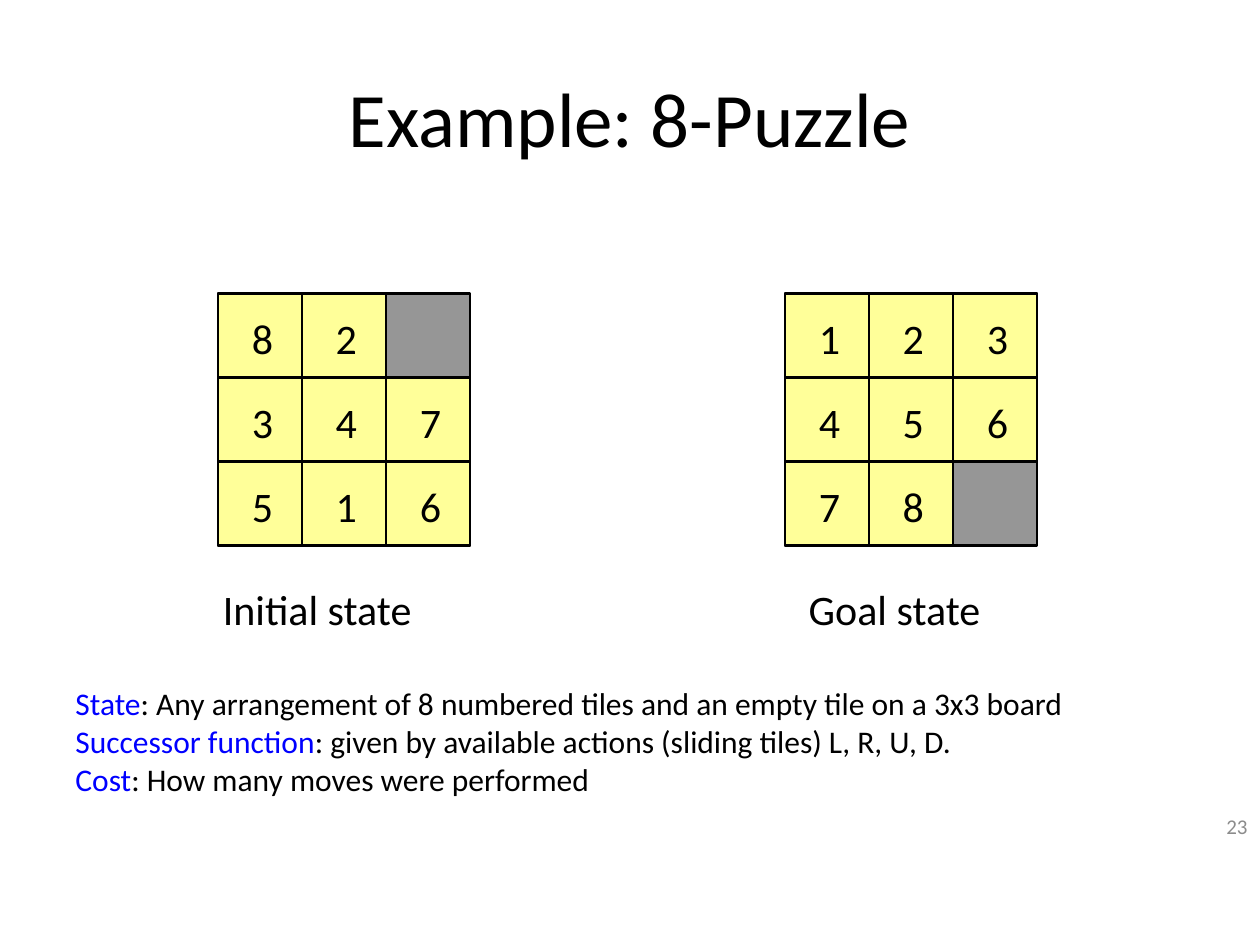
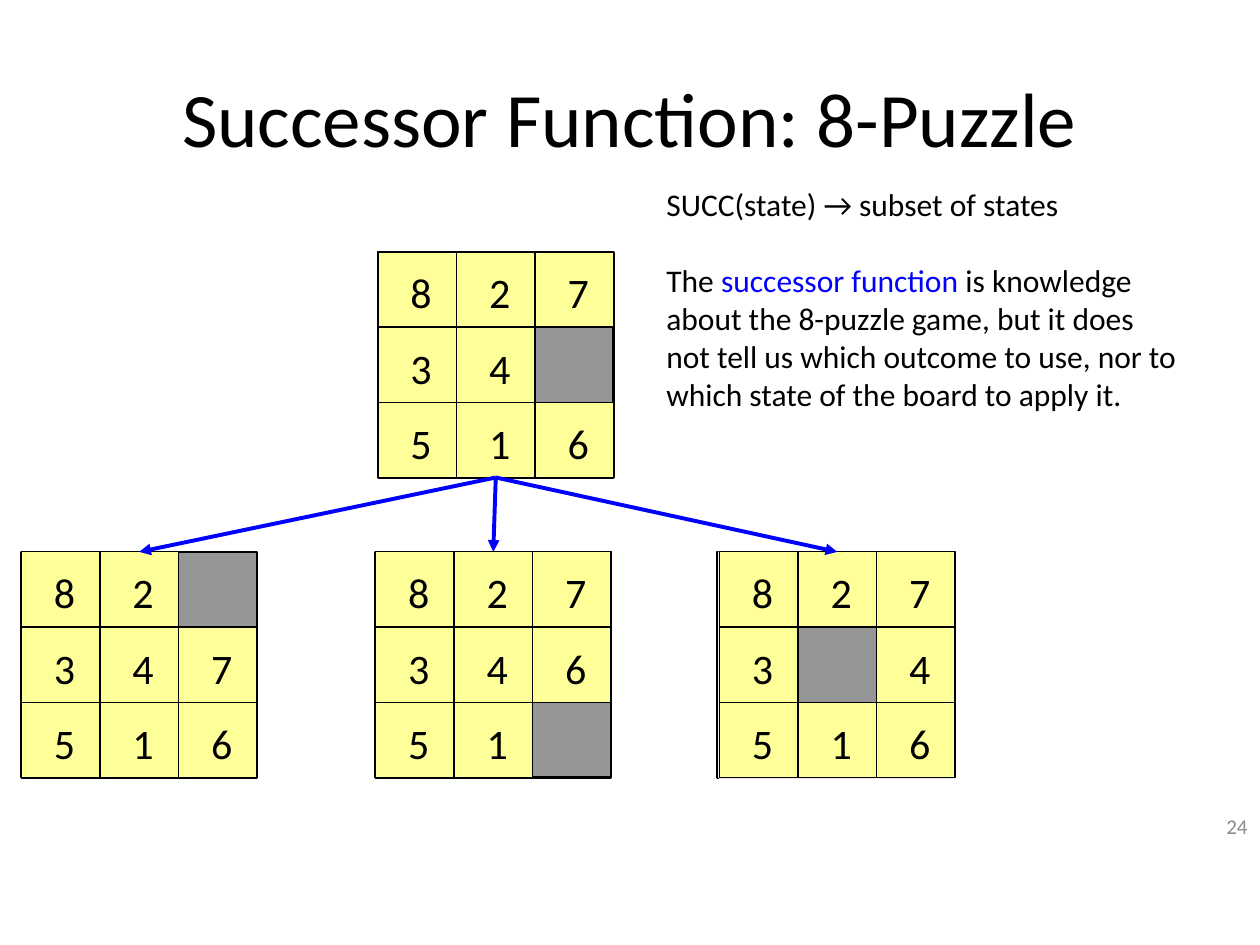
from dataclasses import dataclass
from typing import Optional

from lxml import etree
from pptx import Presentation, util as u
from pptx.dml import color
from pptx.enum import shapes, text
from pptx.oxml import ns


@dataclass(frozen=True)
class Theme:
    font: str = "Calibri"
    ink: str = "000000"
    key: str = "0000FF"
    muted: str = "8C8C8C"
    tile: str = "FFFF99"
    empty: str = "969696"
    pale: str = "EEECE1"
    title_size: int = 44
    tile_size: int = 24
    body_size: int = 18
    number_size: int = 12
    board_line: float = 1.5
    arrow_line: float = 2.25


@dataclass(frozen=True)
class Box:
    left: float
    top: float
    width: float
    height: float

    def lengths(self) -> tuple:
        return tuple(u.Inches(n) for n in (self.left, self.top, self.width, self.height))


@dataclass(frozen=True)
class Piece:
    text: str
    color: str


@dataclass(frozen=True)
class BoardStyle:
    width: float
    height: float
    tile_line: float
    digit_left: float
    digit_top: float


@dataclass(frozen=True)
class Board:
    left: float
    top: float
    rows: tuple[str, str, str]
    style: BoardStyle
    backing_left: Optional[float] = None


THEME = Theme()
EMPTY = " "
LARGE = BoardStyle(2, 2, 1.5, 0.17, 0.1)
SMALL = BoardStyle(1.87, 1.79, 0.75, 0.16, 0.07)

START_AND_GOAL = (
    Board(1.73, 2.33, ("82 ", "347", "516"), LARGE),
    Board(6.23, 2.33, ("123", "456", "78 "), LARGE),
)
PARENT = Board(3, 2, ("827", "34 ", "516"), SMALL)
SUCCESSORS = (
    Board(0.17, 4.38, ("82 ", "347", "516"), SMALL),
    Board(2.98, 4.38, ("827", "346", "51 "), SMALL),
    Board(5.71, 4.38, ("827", "3 4", "516"), SMALL, backing_left=5.69),
)


def plain(content: str) -> list[Piece]:
    return [Piece(content, THEME.ink)]


def definition(term: str, meaning: str) -> list[Piece]:
    return [Piece(term, THEME.key), Piece(f": {meaning}", THEME.ink)]


def add_text(slide, box: Box, paragraphs: list[list[Piece]], size: float,
             align=text.PP_ALIGN.LEFT, anchor=text.MSO_ANCHOR.TOP):
    frame = slide.shapes.add_textbox(*box.lengths()).text_frame
    frame.word_wrap = True
    frame.vertical_anchor = anchor
    for index, pieces in enumerate(paragraphs):
        paragraph = frame.add_paragraph() if index else frame.paragraphs[0]
        paragraph.alignment = align
        for piece in pieces:
            for line_index, line in enumerate(piece.text.split("\n")):
                if line_index:
                    paragraph.add_line_break()
                run = paragraph.add_run()
                run.text = line
                run.font.name = THEME.font
                run.font.size = u.Pt(size)
                run.font.color.rgb = color.RGBColor.from_string(piece.color)
    return frame


def add_rectangle(slide, box: Box, fill: Optional[str], line: str, line_width: float):
    shape = slide.shapes.add_shape(shapes.MSO_SHAPE.RECTANGLE, *box.lengths())
    shape.shadow.inherit = False
    if fill:
        shape.fill.solid()
        shape.fill.fore_color.rgb = color.RGBColor.from_string(fill)
    else:
        shape.fill.background()
    shape.line.color.rgb = color.RGBColor.from_string(line)
    shape.line.width = u.Pt(line_width)
    return shape


def add_board(slide, board: Board):
    style = board.style
    outline = Box(board.left, board.top, style.width, style.height)
    if board.backing_left is None:
        frame = add_rectangle(slide, outline, THEME.empty, THEME.ink, THEME.board_line)
    else:
        backing = Box(board.backing_left, board.top, style.width, style.height)
        add_rectangle(slide, backing, THEME.empty, THEME.ink, THEME.board_line)
        frame = add_rectangle(slide, outline, None, THEME.pale, THEME.board_line)
    width, height = style.width / 3, style.height / 3
    for row, digits in enumerate(board.rows):
        for column, digit in enumerate(digits):
            if digit == EMPTY:
                continue
            left, top = board.left + column * width, board.top + row * height
            add_rectangle(slide, Box(left, top, width, height),
                          THEME.tile, THEME.ink, style.tile_line)
            add_text(slide, Box(left + style.digit_left, top + style.digit_top, 0.4, 0.5),
                     [plain(digit)], THEME.tile_size)
    return frame


def add_arrow(slide, parent, child) -> None:
    arrow = slide.shapes.add_connector(shapes.MSO_CONNECTOR.STRAIGHT, 0, 0, 0, 0)
    arrow.begin_connect(parent, 2)
    arrow.end_connect(child, 0)
    arrow.line.color.rgb = color.RGBColor.from_string(THEME.key)
    arrow.line.width = u.Pt(THEME.arrow_line)
    etree.SubElement(arrow.line._get_or_add_ln(), ns.qn("a:tailEnd"), type="triangle")
    etree.SubElement(arrow._element.spPr, ns.qn("a:effectLst"))


def add_slide(presentation, title: str, number: int):
    slide = presentation.slides.add_slide(presentation.slide_layouts[6])
    add_text(slide, Box(0.5, 0.3, 9, 1.25), [plain(title)], THEME.title_size,
             text.PP_ALIGN.CENTER, text.MSO_ANCHOR.MIDDLE)
    add_text(slide, Box(9.33, 6.27, 0.67, 0.57), [[Piece(str(number), THEME.muted)]],
             THEME.number_size, text.PP_ALIGN.RIGHT, text.MSO_ANCHOR.MIDDLE)
    return slide


def add_example_slide(presentation) -> None:
    slide = add_slide(presentation, "Example: 8-Puzzle", 23)
    for board in START_AND_GOAL:
        add_board(slide, board)
    add_text(slide, Box(1.67, 4.58, 2.09, 0.5), [plain("Initial state")], THEME.tile_size)
    add_text(slide, Box(6.32, 4.58, 1.79, 0.5), [plain("Goal state")], THEME.tile_size)
    add_text(slide, Box(0.5, 5.38, 8.15, 1.01), [
        definition("State", "Any arrangement of 8 numbered tiles and an empty tile on a 3x3 board"),
        definition("Successor function", "given by available actions (sliding tiles) L, R, U, D."),
        definition("Cost", "How many moves were performed"),
    ], THEME.body_size)


def add_successor_slide(presentation) -> None:
    slide = add_slide(presentation, "Successor Function: 8-Puzzle", 24)
    parent = add_board(slide, PARENT)
    children = [add_board(slide, board) for board in SUCCESSORS]
    for child in children:
        add_arrow(slide, parent, child)
    explanation = add_text(slide, Box(5.19, 1.42, 4.79, 1.9), [
        plain("SUCC(state) → subset of states"),
        [Piece("The ", THEME.ink), Piece("successor function", THEME.key),
         Piece(" is knowledge\nabout the 8-puzzle game, but it does", THEME.ink)],
        plain("not tell us which outcome to use, nor to"),
        plain("which state of the board to apply it."),
    ], THEME.body_size)
    explanation.paragraphs[1].space_before = u.Pt(22)


def main() -> None:
    presentation = Presentation()
    presentation.slide_width = u.Inches(10)
    presentation.slide_height = u.Inches(7.5)
    add_example_slide(presentation)
    add_successor_slide(presentation)
    presentation.save("out.pptx")


if __name__ == "__main__":
    main()
